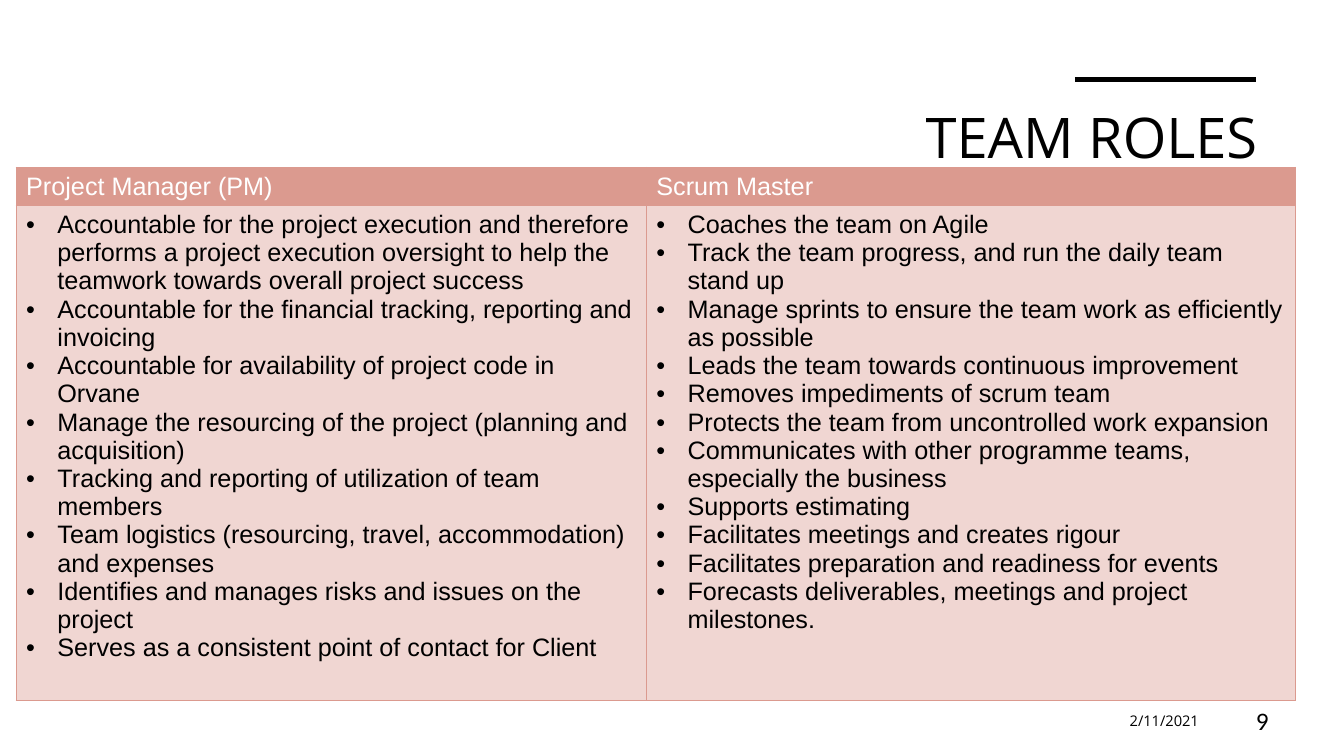
from dataclasses import dataclass

from lxml.etree import SubElement
from pptx import Presentation
from pptx.dml.color import RGBColor as Color
from pptx.enum.shapes import MSO_CONNECTOR as Connector
from pptx.enum.text import MSO_ANCHOR as Anchor, MSO_AUTO_SIZE as AutoSize, PP_ALIGN as Align
from pptx.oxml.ns import qn
from pptx.util import Inches, Pt


@dataclass(frozen=True)
class Theme:
    ink: str = "000000"
    paper: str = "FFFFFF"
    accent: str = "DB9A8F"
    body_opacity: int = 40
    heading_font: str = "Open Sans"
    number_font: str = "Calibri"
    table_font: str = "Arial"
    title_size: float = 40
    table_size: float = 18
    date_size: float = 10.5
    number_size: float = 18


ROLES = {
    "Project Manager (PM)": [
        "Accountable for the project execution and therefore performs a project "
        "execution oversight to help the teamwork towards overall project success",
        "Accountable for the financial tracking, reporting and invoicing",
        "Accountable for availability of project code in Orvane",
        "Manage the resourcing of the project (planning and acquisition)",
        "Tracking and reporting of utilization of team members",
        "Team logistics (resourcing, travel, accommodation) and expenses",
        "Identifies and manages risks and issues on the project",
        "Serves as a consistent point of contact for Client",
    ],
    "Scrum Master": [
        "Coaches the team on Agile",
        "Track the team progress, and run the daily team stand up",
        "Manage sprints to ensure the team work as efficiently as possible",
        "Leads the team towards continuous improvement",
        "Removes impediments of scrum team",
        "Protects the team from uncontrolled work expansion",
        "Communicates with other programme teams, especially the business",
        "Supports estimating",
        "Facilitates meetings and creates rigour",
        "Facilitates preparation and readiness for events",
        "Forecasts deliverables, meetings and project milestones.",
    ],
}


def apply(target, **values):
    for name, value in values.items():
        setattr(target, name, value)


class SlideBuilder:
    def __init__(self, page, theme):
        self.page, self.theme = page, theme

    def add_text(self, para, text, font, size, color, align=Align.LEFT):
        para.alignment = align
        span = para.add_run()
        span.text = text
        apply(span.font, name=font, size=Pt(size), bold=False)
        span.font.color.rgb = Color.from_string(color)

    def rule(self, left, right, top, width):
        line = self.page.shapes.add_connector(
            Connector.STRAIGHT, Inches(left), Inches(top), Inches(right), Inches(top))
        line.line.width = Pt(width)
        line.line.color.rgb = Color.from_string(self.theme.ink)
        SubElement(line._element.spPr, qn("a:effectLst"))

    def fit(self, box, place, anchor):
        apply(box, **dict(zip(("left", "top", "width", "height"), map(Inches, place))))
        apply(box.text_frame, word_wrap=True, auto_size=AutoSize.NONE, vertical_anchor=anchor)
        return box.text_frame.paragraphs[0]

    def title(self, text, place):
        para = self.fit(self.page.shapes.title, place, Anchor.TOP)
        self.add_text(para, text, self.theme.heading_font, self.theme.title_size,
                      self.theme.ink, Align.RIGHT)

    def label(self, text, place, font, size):
        box = self.page.shapes.add_textbox(0, 0, 0, 0)
        para = self.fit(box, place, Anchor.MIDDLE)
        self.add_text(para, text, font, size, self.theme.ink, Align.RIGHT)

    def bullet(self, para):
        props = para._p.get_or_add_pPr()
        indent = Inches(0.31)
        props.set("marL", str(indent))
        props.set("indent", str(-indent))
        SubElement(props, qn("a:buFont"), typeface=self.theme.table_font)
        SubElement(props, qn("a:buChar"), char="•")

    def style_cell(self, cell, opacity=100):
        props = cell._tc.get_or_add_tcPr()
        # Borders come before the fill in the cell properties
        for side in ("lnL", "lnR", "lnT", "lnB"):
            border = SubElement(props, qn(f"a:{side}"), w=str(Pt(0.75)))
            paint = SubElement(border, qn("a:solidFill"))
            SubElement(paint, qn("a:srgbClr"), val=self.theme.accent)
        cell.fill.solid()
        cell.fill.fore_color.rgb = Color.from_string(self.theme.accent)
        if opacity < 100:
            shade = props.find(qn("a:solidFill")).find(qn("a:srgbClr"))
            SubElement(shade, qn("a:alpha"), val=str(opacity * 1000))

    def role_table(self, roles, left, top, widths, heights):
        theme = self.theme
        table = self.page.shapes.add_table(
            len(heights), len(widths), Inches(left), Inches(top),
            Inches(sum(widths)), Inches(sum(heights))).table
        table.horz_banding = False
        for column, width in zip(table.columns, widths):
            column.width = Inches(width)
        for row, height in zip(table.rows, heights):
            row.height = Inches(height)
        for index, (role, duties) in enumerate(roles.items()):
            header, body = table.cell(0, index), table.cell(1, index)
            self.style_cell(header)
            self.add_text(header.text_frame.paragraphs[0], role,
                          theme.table_font, theme.table_size, theme.paper)
            self.style_cell(body, theme.body_opacity)
            frame = body.text_frame
            for number, duty in enumerate(duties):
                para = frame.add_paragraph() if number else frame.paragraphs[0]
                self.bullet(para)
                self.add_text(para, duty, theme.table_font, theme.table_size, theme.ink)


def main():
    deck = Presentation()
    apply(deck, slide_width=Inches(13.33), slide_height=Inches(7.5))
    theme = Theme()
    builder = SlideBuilder(deck.slides.add_slide(deck.slide_layouts[5]), theme)

    # Heading
    builder.rule(10.66, 12.46, 0.79, 3.5)
    builder.title("TEAM ROLES", (0.76, 0.97, 11.81, 0.69))

    # Footer
    builder.label("2/11/2021", (9.15, 6.95, 2.84, 0.4), theme.heading_font, theme.date_size)
    builder.label("9", (11.94, 6.95, 0.74, 0.4), theme.number_font, theme.number_size)

    # Roles side by side
    builder.role_table(ROLES, 0.16, 1.66, widths=(6.25, 6.44), heights=(0.38, 4.91))

    deck.save("out.pptx")


if __name__ == "__main__":
    main()
